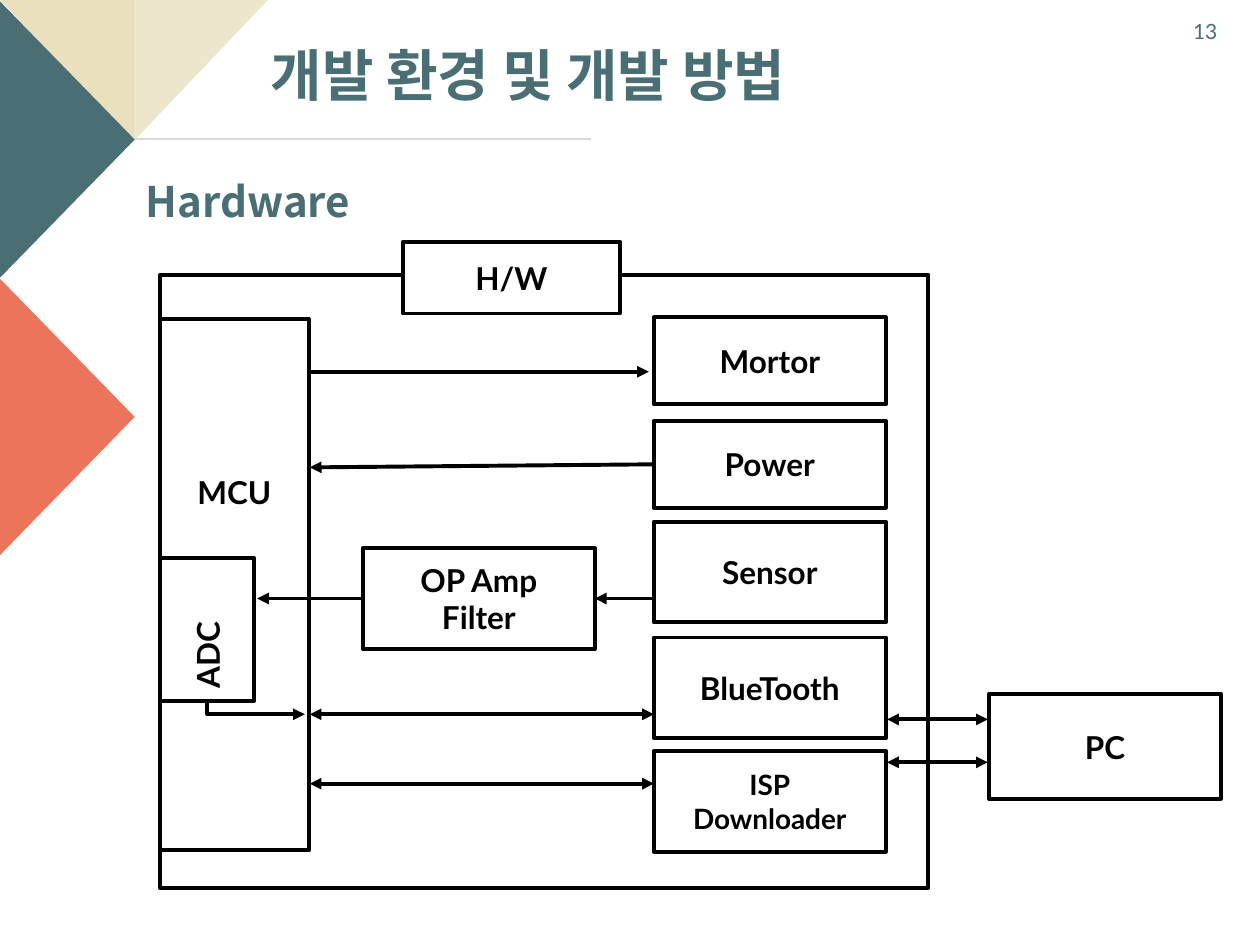
from pptx import Presentation
from pptx.dml.color import RGBColor as Rgb
from pptx.enum.shapes import MSO_CONNECTOR as Link, MSO_SHAPE as Kind
from pptx.enum.text import MSO_ANCHOR as Anchor, PP_ALIGN as Align
from pptx.oxml.ns import qn
from pptx.util import Pt
from lxml.etree import SubElement as Sub

TEAL, BLACK, WHITE = "496F74", "000000", "FFFFFF"
LATO, NOTO = "Lato", "Noto Sans CJK KR"
SIDE_X, SIDE_W = 373.7, 132.5
MCU_X = 177


def hue(code):
    return Rgb.from_string(code)


def write(frame, text, size=18, font=LATO, color=BLACK, bold=True,
          align=Align.CENTER, space=None, anchor=Anchor.MIDDLE):
    frame.word_wrap = True
    frame.vertical_anchor = anchor
    frame.text = text
    for para in frame.paragraphs:
        para.alignment = align
        para.line_spacing = space
        for run in para.runs:
            run.font.size = Pt(size)
            run.font.bold = bold
            run.font.name = font
            run.font.color.rgb = hue(color)
            Sub(run.font._element, qn("a:ea"), typeface=font)


def label(slide, text, x, y, w, h, **style):
    box = slide.shapes.add_textbox(Pt(x), Pt(y), Pt(w), Pt(h))
    write(box.text_frame, text, anchor=Anchor.TOP, **style)


def shape(slide, kind, x, y, w, h, fill):
    item = slide.shapes.add_shape(kind, Pt(x), Pt(y), Pt(w), Pt(h))
    item.shadow.inherit = False
    item.fill.solid()
    item.fill.fore_color.rgb = hue(fill)
    return item


def wedge(slide, kind, x, y, w, h, fill, turn, flip=False):
    item = shape(slide, kind, x, y, w, h, fill)
    item.line.fill.background()
    item.rotation = turn
    if flip:
        item._element.spPr.xfrm.set("flipH", "1")


def block(slide, text, x, y, w, h, **style):
    item = shape(slide, Kind.RECTANGLE, x, y, w, h, WHITE)
    item.line.color.rgb = hue(BLACK)
    item.line.width = Pt(2.25)
    if text:
        write(item.text_frame, text, **style)
    return item


def line(slide, x1, y1, x2, y2, ends="", color=BLACK, width=2.25, bent=False):
    kind = Link.ELBOW if bent else Link.STRAIGHT
    item = slide.shapes.add_connector(kind, Pt(x1), Pt(y1), Pt(x2), Pt(y2))
    item.line.color.rgb = hue(color)
    item.line.width = Pt(width)
    for end in ends.split():
        Sub(item.line._ln, qn("a:" + end), type="triangle")
    props = item._element.spPr
    Sub(props, qn("a:effectLst"))
    if bent:
        props.find(qn("a:prstGeom")).set("prst", "bentConnector2")
    return item


def decor(slide):
    wedge(slide, Kind.RIGHT_TRIANGLE, 0, 0, 76.5, 80.5, "EAE0BE", 180)
    wedge(slide, Kind.RIGHT_TRIANGLE, 76.5, 0, 76.5, 80.5, "EEE6CC", 180, True)
    for y, fill in ((41, TEAL), (199.5, "EC745B")):
        wedge(slide, Kind.ISOSCELES_TRIANGLE, -41.3, y, 159, 77.5, fill, 90)


def heads(slide):
    label(slide, "개발 환경 및 개발 방법", 147.6, 23.8, 397.4, 42.5,
          size=32, font=NOTO, color=TEAL, align=Align.LEFT, space=0.9)
    line(slide, 77, 79.4, 337.7, 79.4, color="D9D9D9", width=1.5)
    label(slide, "Hardware", 76.3, 100, 335.5, 49.7,
          size=24, font=NOTO, color=TEAL, align=Align.JUSTIFY, space=0.9)
    label(slide, "13", 657.4, 7.2, 62.6, 21.6, size=12, color=TEAL, bold=False)


def blocks(slide):
    block(slide, "", 91.4, 157, 439.2, 350.6)
    block(slide, "H/W", 230.4, 138.2, 123.8, 41)
    mcu = block(slide, "MCU", 91.4, 182.2, 85, 303.8)
    mcu.text_frame.margin_bottom = Pt(110)
    parts = {}
    for text, y, h, size in (("Mortor", 181.4, 49.7, 18),
                             ("Power", 240.5, 49.7, 18),
                             ("Sensor", 298.1, 57.6, 18),
                             ("BlueTooth", 364.3, 57.6, 18),
                             ("ISP\vDownloader", 429.1, 57.6, 16)):
        parts[text] = block(slide, text, SIDE_X, y, SIDE_W, h, size=size)
    block(slide, "PC", 565.2, 396.7, SIDE_W, 59.8)
    parts["Amp"] = block(slide, "OP Amp\nFilter", 207.4, 313.2, SIDE_W, 57.6)
    adc = block(slide, "ADC", 91.4, 319, 54, 81.4, align=Align.LEFT)
    adc.text_frame._txBody.bodyPr.set("vert", "vert270")
    parts["ADC"] = adc
    return parts


def arrows(slide, parts):
    both = "headEnd tailEnd"
    line(slide, 370.8, 212.4, MCU_X, 212.4, "headEnd")
    for y in (408.2, 447.8):
        line(slide, SIDE_X, y, MCU_X, y, both)
    for y in (411.1, 435.6):
        line(slide, 564.5, y, 506.9, y, both)
    power = line(slide, SIDE_X, 265.4, MCU_X, 267.1, "tailEnd")
    power.begin_connect(parts["Power"], 1)
    amp = line(slide, 207.4, 342, 146.9, 342, "tailEnd")
    amp.begin_connect(parts["Amp"], 1)
    sensor = line(slide, SIDE_X, 342, 339.9, 342, "tailEnd")
    sensor.end_connect(parts["Amp"], 3)
    adc = line(slide, 174.2, 408.2, 118.4, 400.4, "headEnd", bent=True)
    adc.end_connect(parts["ADC"], 2)


def main():
    deck = Presentation()
    deck.slide_width, deck.slide_height = Pt(720), Pt(540)
    slide = deck.slides.add_slide(deck.slide_layouts[6])
    decor(slide)
    heads(slide)
    arrows(slide, blocks(slide))
    deck.save("out.pptx")


if __name__ == "__main__":
    main()
